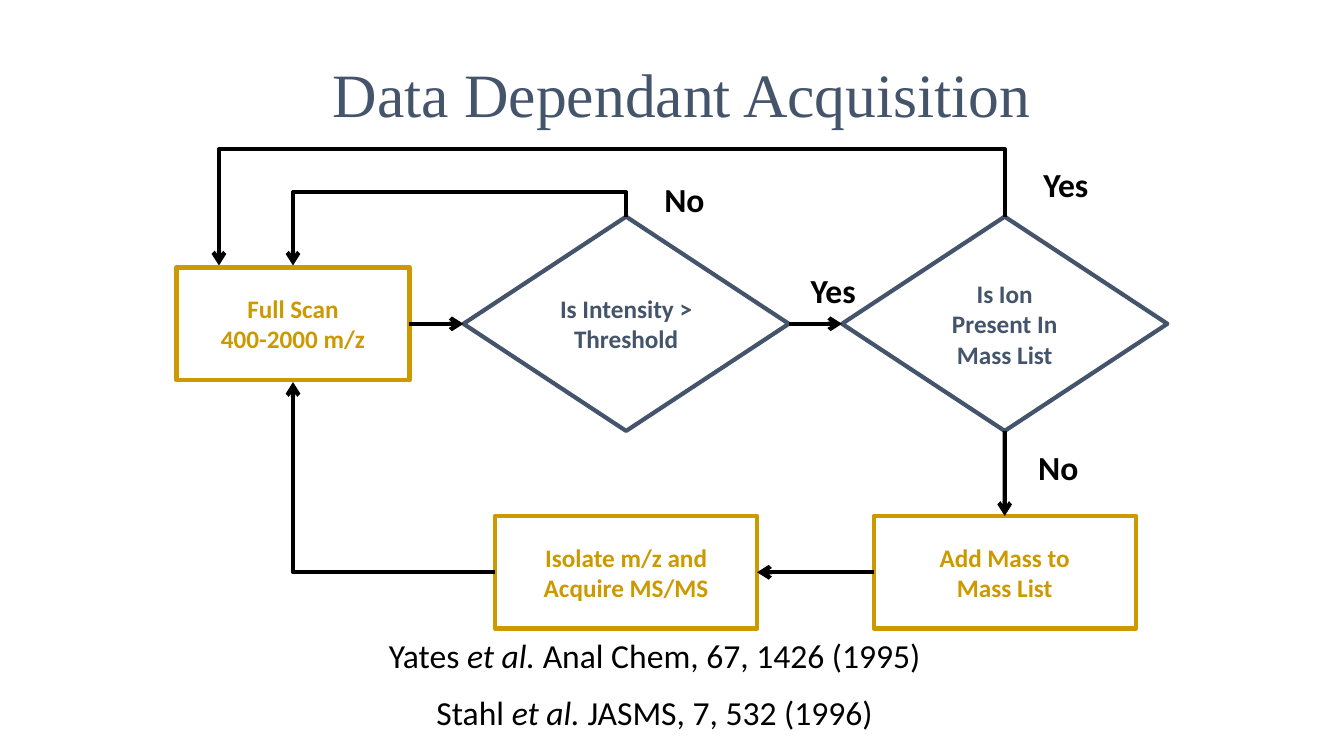
from dataclasses import dataclass

from lxml import etree
from pptx import Presentation
from pptx.dml.color import RGBColor
from pptx.enum.shapes import MSO_CONNECTOR, MSO_SHAPE
from pptx.enum.text import MSO_ANCHOR, PP_ALIGN
from pptx.oxml.ns import qn
from pptx.util import Cm, Pt

STRAIGHT, ELBOW = MSO_CONNECTOR.STRAIGHT, MSO_CONNECTOR.ELBOW
PROCESS, DECISION = MSO_SHAPE.FLOWCHART_PROCESS, MSO_SHAPE.FLOWCHART_DECISION
MIDDLE, CENTER = MSO_ANCHOR.MIDDLE, PP_ALIGN.CENTER
TOP, LEFT, BOTTOM, RIGHT = range(4)


@dataclass(frozen=True)
class Theme:
    """Colours, fonts and sizes of the slide."""
    slate: RGBColor = RGBColor(0x44, 0x54, 0x6A)
    gold: RGBColor = RGBColor(0xCC, 0x99, 0x00)
    black: RGBColor = RGBColor(0, 0, 0)
    heading: str = "Times New Roman"
    body: str = "Calibri"
    title: Pt = Pt(44)
    label: Pt = Pt(24)
    node: Pt = Pt(18)
    line: Pt = Pt(3)


T = Theme()


def add_text(p, text, size=T.label, color=T.black, font=T.body, bold=False, italic=False):
    """Append formatted text to a centred paragraph, breaking it at newlines."""
    p.alignment = CENTER
    for i, line in enumerate(text.split("\n")):
        if i:
            p.add_line_break()
        r = p.add_run()
        r.text = line
        r.font.name, r.font.size = font, size
        r.font.bold, r.font.italic = bold, italic
        r.font.color.rgb = color


def add_title(s, x, y, w, h):
    """Place and fill the title placeholder."""
    sp = s.shapes.title
    sp.left, sp.top, sp.width, sp.height = Cm(x), Cm(y), Cm(w), Cm(h)
    tf = sp.text_frame
    tf.vertical_anchor = MIDDLE
    add_text(tf.paragraphs[0], "Data Dependant Acquisition",
             size=T.title, color=T.slate, font=T.heading)


def add_node(s, kind, cx, cy, w, h, text, color):
    """Draw an outlined flowchart node around a centre."""
    sp = s.shapes.add_shape(kind, Cm(cx - w / 2), Cm(cy - h / 2), Cm(w), Cm(h))
    sp.shadow.inherit = False
    sp.fill.background()
    sp.line.color.rgb, sp.line.width = color, T.line
    tf = sp.text_frame
    tf.word_wrap, tf.vertical_anchor = False, MIDDLE
    add_text(tf.paragraphs[0], text, size=T.node, color=color, bold=True)
    return sp


def add_arrow(s, kind, x1=0, y1=0, x2=0, y2=0):
    """Draw a black connector with an open arrowhead at its end."""
    c = s.shapes.add_connector(kind, Cm(x1), Cm(y1), Cm(x2), Cm(y2))
    c.line.color.rgb, c.line.width = T.black, T.line
    etree.SubElement(c.line._get_or_add_ln(), qn("a:tailEnd"), type="arrow")
    etree.SubElement(c._element.spPr, qn("a:effectLst"))
    return c


def join(s, start, start_side, end, end_side):
    """Join the sides of two nodes with a straight arrow."""
    c = add_arrow(s, STRAIGHT)
    c.begin_connect(start, start_side)
    c.end_connect(end, end_side)


def add_corner(s, x1, y1, x2, y2):
    """Draw an arrow that runs across and then turns once."""
    c = add_arrow(s, ELBOW, x1, y1, x2, y2)
    c._element.spPr.find(qn("a:prstGeom")).set("prst", "bentConnector2")


def add_loop(s, x1, y1, x2, y2, rise):
    """Draw an arrow that rises, runs back left and comes down."""
    cx, cy, dx, dy = (x1 + x2) / 2, (y1 + y2) / 2, (x1 - x2) / 2, (y2 - y1) / 2
    c = add_arrow(s, ELBOW, cx + dy, cy + dx, cx - dy, cy - dx)
    spPr = c._element.spPr
    spPr.find(qn("a:xfrm")).set("rot", str(270 * 60000))
    av = spPr.find(qn("a:prstGeom")).find(qn("a:avLst"))
    adj = round(-rise / (y2 - y1) * 100000)
    etree.SubElement(av, qn("a:gd"), name="adj1", fmla=f"val {adj}")


def add_label(s, cx, cy, text, w=2.8, h=1.27):
    """Write a bold branch label around a centre."""
    tf = s.shapes.add_textbox(Cm(cx - w / 2), Cm(cy - h / 2), Cm(w), Cm(h)).text_frame
    tf.word_wrap = True
    add_text(tf.paragraphs[0], text, bold=True)


def add_flowchart(s, x, y, w, h):
    """Draw the acquisition loop inside the given box."""
    node_h, step_w, scan_w, diamond_w, diamond_h = 2.84, 6.6, 5.87, 8.2, 5.4
    scan_x, test_x, list_x = x + scan_w / 2, x + 11.33, x + w - diamond_w / 2
    upper, lower = y + 4.4, y + h - node_h / 2
    test = add_node(s, DECISION, test_x, upper, diamond_w, diamond_h,
                    "Is Intensity >\nThreshold", T.slate)
    scan = add_node(s, PROCESS, scan_x, upper, scan_w, node_h,
                    "Full Scan\n400-2000 m/z", T.gold)
    isolate = add_node(s, PROCESS, test_x, lower, step_w, node_h,
                       "Isolate m/z and\nAcquire MS/MS", T.gold)
    add_mass = add_node(s, PROCESS, list_x, lower, step_w, node_h,
                        "Add Mass to\nMass List", T.gold)
    listed = add_node(s, DECISION, list_x, upper, diamond_w, diamond_h,
                      "Is Ion\nPresent In\nMass List", T.slate)

    join(s, scan, RIGHT, test, LEFT)
    join(s, test, RIGHT, listed, LEFT)
    join(s, listed, BOTTOM, add_mass, TOP)
    join(s, add_mass, LEFT, isolate, RIGHT)
    add_corner(s, test_x - step_w / 2, lower, scan_x, upper + node_h / 2 + 0.05)

    diamond_top, scan_top = upper - diamond_h / 2, upper - node_h / 2 - 0.05
    add_loop(s, test_x, diamond_top, scan_x, scan_top, diamond_top - y - 1.08)
    add_loop(s, list_x, diamond_top, x + 1.07, scan_top, diamond_top - y)

    for dx, dy, text in ((12.8, 1.27, "No"), (22.22, 8, "No"),
                         (16.55, 3.56, "Yes"), (22.41, 0.89, "Yes")):
        add_label(s, x + dx, y + dy, text)


def add_references(s, x, y, w, h):
    """List the cited papers, one centred line each."""
    tf = s.shapes.add_textbox(Cm(x), Cm(y), Cm(w), Cm(h)).text_frame
    tf.word_wrap = True
    papers = (("Yates ", " Anal Chem, 67, 1426 (1995)"), ("Stahl ", " JASMS, 7, 532 (1996)"))
    for i, (author, citation) in enumerate(papers):
        p = tf.add_paragraph() if i else tf.paragraphs[0]
        if i:
            p.space_before = Pt(12)
        add_text(p, author)
        add_text(p, "et al.", italic=True)
        add_text(p, citation)


def main():
    """Build and save the slide."""
    prs = Presentation()
    prs.slide_width, prs.slide_height = Cm(33.87), Cm(19.05)
    s = prs.slides.add_slide(prs.slide_layouts[5])
    add_title(s, 5.05, 0.74, 24.28, 3.18)
    add_flowchart(s, 4.45, 3.76, 24.97, 12.08)
    add_references(s, 6.05, 15.88, 20.9, 2.82)
    prs.save("out.pptx")


if __name__ == "__main__":
    main()
